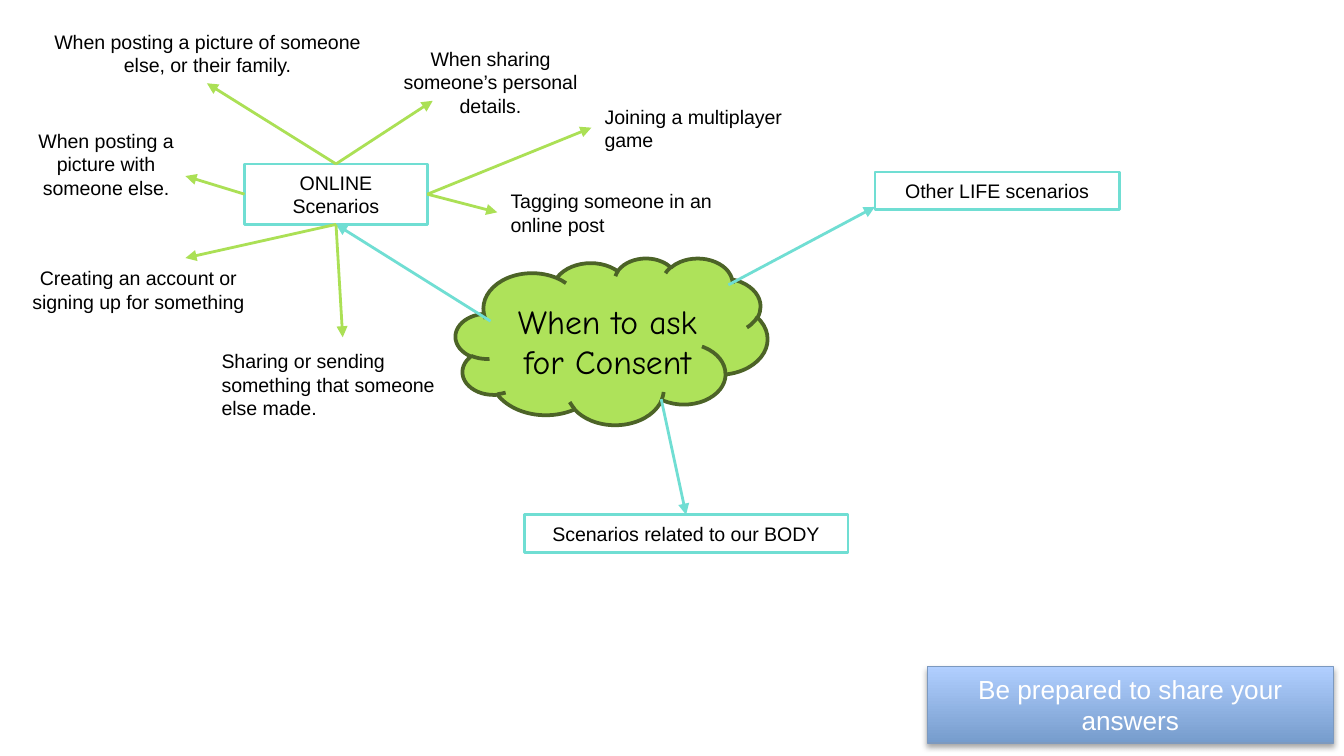
from dataclasses import dataclass
from typing import NamedTuple, Optional

from lxml import etree
from pptx import Presentation
from pptx.dml.color import RGBColor
from pptx.enum.shapes import MSO_CONNECTOR, MSO_SHAPE
from pptx.enum.text import MSO_ANCHOR, MSO_AUTO_SIZE, PP_ALIGN
from pptx.oxml import parse_xml
from pptx.oxml.ns import nsdecls, qn
from pptx.shapes.autoshape import Shape
from pptx.slide import Slide
from pptx.util import Inches, Pt

STRAIGHT = MSO_CONNECTOR.STRAIGHT
RECTANGLE, CLOUD = MSO_SHAPE.RECTANGLE, MSO_SHAPE.CLOUD
LEFT, CENTER = PP_ALIGN.LEFT, PP_ALIGN.CENTER
MIDDLE = MSO_ANCHOR.MIDDLE
GROW = MSO_AUTO_SIZE.SHAPE_TO_FIT_TEXT
TOP_SIDE, LEFT_SIDE, BOTTOM_SIDE, RIGHT_SIDE = range(4)


@dataclass(frozen=True)
class Theme:
    black: RGBColor = RGBColor(0, 0, 0)
    white: RGBColor = RGBColor(255, 255, 255)
    teal: RGBColor = RGBColor.from_string("70DED3")
    lime: RGBColor = RGBColor.from_string("ABE055")
    cloud: RGBColor = RGBColor.from_string("AEE25A")
    cloud_line: RGBColor = RGBColor.from_string("4C6327")
    banner_bottom: RGBColor = RGBColor.from_string("769CCC")
    banner_top: RGBColor = RGBColor.from_string("B1CFFF")
    banner_line: RGBColor = RGBColor.from_string("7C99BF")
    body_font: str = "Arial"
    title_font: str = "Comic Neue"
    body_size: float = 10.5
    banner_size: float = 14
    title_size: float = 18
    line_width: float = 1.5


class Box(NamedTuple):
    left: float
    top: float
    width: float
    height: float


class End(NamedTuple):
    x: float = 0
    y: float = 0
    shape: Optional[Shape] = None
    side: int = TOP_SIDE


class Example(NamedTuple):
    text: str
    box: Box
    align: PP_ALIGN
    side: int
    tip: End


THEME = Theme()

EXAMPLES = [
    Example("When posting a picture of someone else, or their family.",
            Box(0.19, 0.17, 2.71, 0.45), CENTER, TOP_SIDE, End(1.54, 0.62)),
    Example("When sharing someone’s personal details.",
            Box(2.79, 0.3, 1.72, 0.63), CENTER, TOP_SIDE, End(3.22, 0.75)),
    Example("When posting a picture with someone else.",
            Box(0.07, 0.91, 1.44, 0.63), CENTER, LEFT_SIDE, End(1.38, 1.31)),
    Example("Creating an account or signing up for something",
            Box(0.12, 1.93, 1.82, 0.45), CENTER, BOTTOM_SIDE, End(1.38, 1.92)),
    Example("Sharing or sending something that someone else made.",
            Box(1.55, 2.55, 1.95, 0.63), LEFT, BOTTOM_SIDE, End(2.55, 2.51)),
    Example("Joining a multiplayer game",
            Box(4.4, 0.73, 1.71, 0.45), LEFT, RIGHT_SIDE, End(4.4, 0.95)),
    Example("Tagging someone in an online post",
            Box(3.7, 1.36, 1.71, 0.45), LEFT, RIGHT_SIDE, End(3.7, 1.58)),
]


def write(shape: Shape, text: str, align: PP_ALIGN = CENTER,
          size: float = THEME.body_size, font: str = THEME.body_font,
          color: RGBColor = THEME.black) -> None:
    frame = shape.text_frame
    frame.word_wrap = True
    frame.auto_size = GROW
    paragraph = frame.paragraphs[0]
    paragraph.text = text
    paragraph.alignment = align
    paragraph.font.size = Pt(size)
    paragraph.font.name = font
    paragraph.font.color.rgb = color


def add_outlined(slide: Slide, kind: MSO_SHAPE, box: Box, color: RGBColor,
                 width: float = THEME.line_width) -> Shape:
    shape = slide.shapes.add_shape(kind, *map(Inches, box))
    shape.shadow.inherit = False
    shape.fill.background()
    shape.line.color.rgb = color
    shape.line.width = Pt(width)
    return shape


def add_topic(slide: Slide, text: str, box: Box) -> Shape:
    shape = add_outlined(slide, RECTANGLE, box, THEME.teal)
    shape.text_frame.vertical_anchor = MIDDLE
    write(shape, text)
    return shape


def add_label(slide: Slide, text: str, box: Box, **style) -> None:
    write(slide.shapes.add_textbox(*map(Inches, box)), text, **style)


def add_arrow(slide: Slide, start: End, end: End, color: RGBColor) -> None:
    points = (start.x, start.y, end.x, end.y)
    connector = slide.shapes.add_connector(STRAIGHT, *map(Inches, points))
    if start.shape is not None:
        connector.begin_connect(start.shape, start.side)
    if end.shape is not None:
        connector.end_connect(end.shape, end.side)
    connector.line.color.rgb = color
    connector.line.width = Pt(THEME.line_width)
    properties = connector.element.spPr
    etree.SubElement(properties.find(qn("a:ln")), qn("a:tailEnd"), type="triangle")
    etree.SubElement(properties, qn("a:effectLst"))


def add_banner(slide: Slide, text: str, box: Box) -> None:
    banner = add_outlined(slide, RECTANGLE, box, THEME.banner_line, 0.75)
    banner.fill.gradient()
    banner.fill.gradient_angle = 90
    for stop, color in zip(banner.fill.gradient_stops,
                           (THEME.banner_bottom, THEME.banner_top)):
        stop.color.rgb = color
    effects = banner.element.spPr.find(qn("a:effectLst"))
    effects.append(parse_xml(
        f'<a:outerShdw {nsdecls("a")} blurRad="{Pt(3.1)}" dist="{Pt(1.8)}" '
        'dir="5400000" rotWithShape="0"><a:srgbClr val="000000">'
        '<a:alpha val="35000"/></a:srgbClr></a:outerShdw>'))
    banner.text_frame.vertical_anchor = MIDDLE
    write(banner, text, size=THEME.banner_size, color=THEME.white)


def main() -> None:
    presentation = Presentation()
    presentation.slide_width = Inches(10)
    presentation.slide_height = Inches(10 * 9 / 16)
    slide = presentation.slides.add_slide(presentation.slide_layouts[6])

    cloud = add_outlined(slide, CLOUD, Box(3.39, 1.92, 2.32, 1.24),
                         THEME.cloud_line, 2)
    cloud.fill.solid()
    cloud.fill.fore_color.rgb = THEME.cloud
    add_label(slide, "When to ask for Consent", Box(3.65, 2.19, 1.74, 0.71),
              size=THEME.title_size, font=THEME.title_font)

    online = add_topic(slide, "ONLINE Scenarios", Box(1.82, 1.22, 1.36, 0.45))
    add_topic(slide, "Other LIFE scenarios", Box(6.51, 1.28, 1.82, 0.28))
    body = add_topic(slide, "Scenarios related to our BODY",
                     Box(3.9, 3.83, 2.41, 0.28))

    for start, end in (
        (End(3.65, 2.39), End(shape=online, side=BOTTOM_SIDE)),
        (End(5.42, 2.12), End(6.51, 1.54)),
        (End(4.92, 2.97), End(shape=body, side=TOP_SIDE)),
    ):
        add_arrow(slide, start, end, THEME.teal)

    for example in EXAMPLES:
        add_label(slide, example.text, example.box, align=example.align)
        add_arrow(slide, End(shape=online, side=example.side), example.tip,
                  THEME.lime)

    add_banner(slide, "Be prepared to share your answers",
               Box(6.9, 4.96, 3.02, 0.57))
    presentation.save("out.pptx")


if __name__ == "__main__":
    main()
